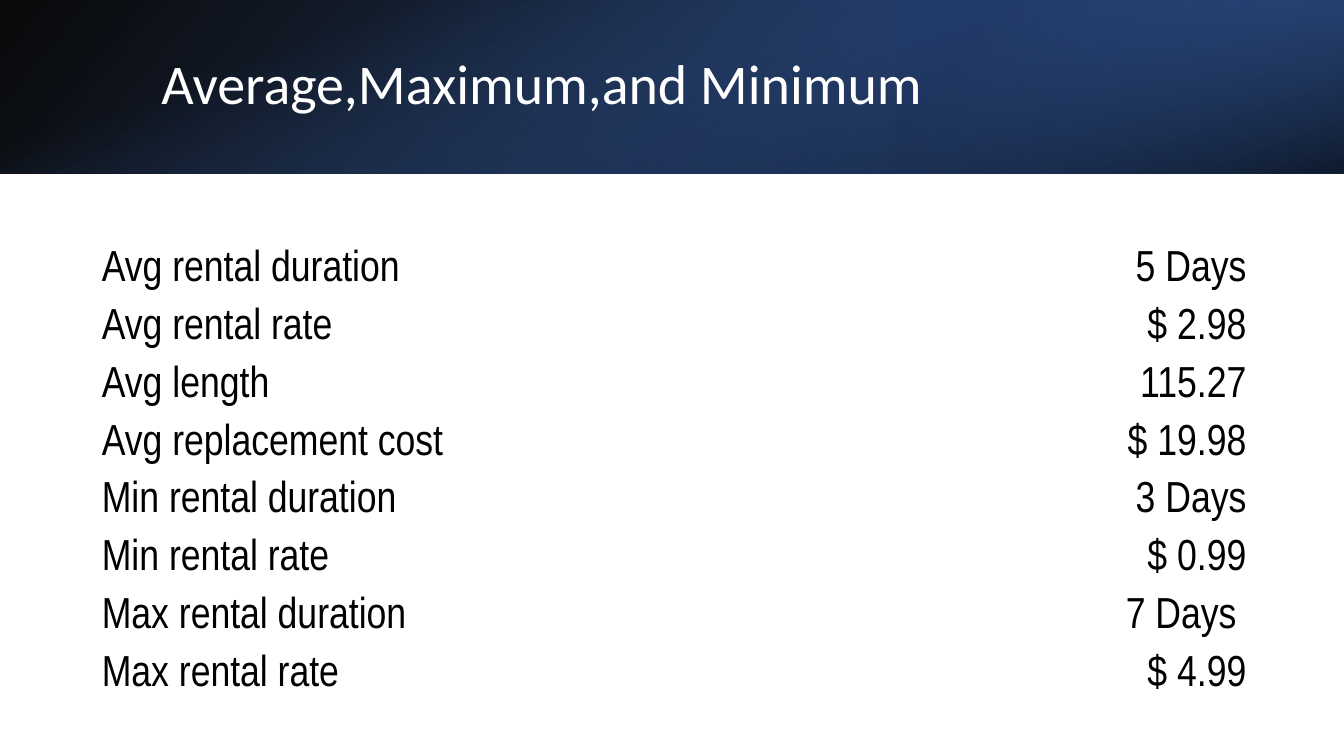
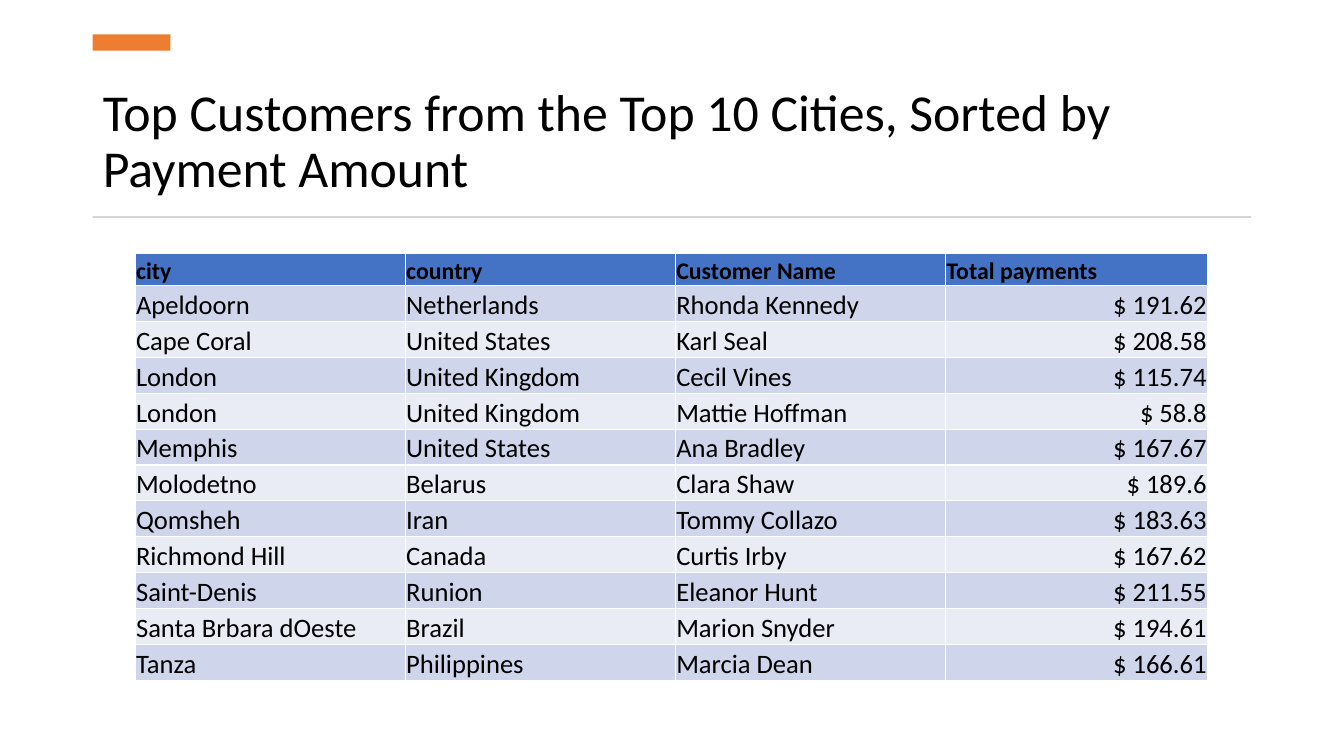
"""Build two slides of film rental statistics and top customers."""
import pptx
import pptx.dml.color
import pptx.enum.shapes
import pptx.enum.text
import pptx.oxml.ns
import pptx.util
from lxml import etree

RGBColor = pptx.dml.color.RGBColor
Align = pptx.enum.text.PP_ALIGN
Anchor = pptx.enum.text.MSO_ANCHOR

BLACK = RGBColor(0x00, 0x00, 0x00)
WHITE = RGBColor(0xFF, 0xFF, 0xFF)
NAVY = RGBColor(0x20, 0x38, 0x64)
DEEP_BLUE = RGBColor(0x2F, 0x55, 0x97)
BLUE = RGBColor(0x44, 0x72, 0xC4)
ORANGE = RGBColor(0xED, 0x7D, 0x31)
GRAY = RGBColor(0xD5, 0xD5, 0xD5)
ROW_FILLS = [RGBColor(0xCF, 0xD5, 0xEA), RGBColor(0xE9, 0xEB, 0xF5)]

deck = pptx.Presentation()
deck.slide_width = pptx.util.Inches(13.33)
deck.slide_height = pptx.util.Inches(7.5)
COLUMN = deck.slide_width / 100
ROW = deck.slide_height / 100


def write_text(frame, text, size=18, font="Calibri", color=BLACK, bold=False,
               align=Align.LEFT, spacing=1.0):
    paragraph = frame.paragraphs[0]
    paragraph.alignment = align
    paragraph.line_spacing = spacing
    run = paragraph.add_run()
    run.text = text
    run.font.size = pptx.util.Pt(size)
    run.font.name = font
    run.font.bold = bold
    run.font.color.rgb = color


def add_block(slide, left, top, width, height, color=None):
    block = slide.shapes.add_shape(
        pptx.enum.shapes.MSO_SHAPE.RECTANGLE,
        int(left), int(top), int(width), int(height))
    block.shadow.inherit = False
    block.line.fill.background()
    if color is not None:
        block.fill.solid()
        block.fill.fore_color.rgb = color
    return block


statistics = [
    ("Avg rental duration", "5 Days"),
    ("Avg rental rate", "$ 2.98"),
    ("Avg length", "115.27"),
    ("Avg replacement cost", "$ 19.98"),
    ("Min rental duration", "3 Days"),
    ("Min rental rate", "$ 0.99"),
    ("Max rental duration", "7 Days "),
    ("Max rental rate", "$ 4.99"),
]
customers = [
    ("city", "country", "Customer Name", "Total payments"),
    ("Apeldoorn", "Netherlands", "Rhonda Kennedy", "$ 191.62"),
    ("Cape Coral", "United States", "Karl Seal", "$ 208.58"),
    ("London", "United Kingdom", "Cecil Vines", "$ 115.74"),
    ("London", "United Kingdom", "Mattie Hoffman", "$ 58.8"),
    ("Memphis", "United States", "Ana Bradley", "$ 167.67"),
    ("Molodetno", "Belarus", "Clara Shaw", "$ 189.6"),
    ("Qomsheh", "Iran", "Tommy Collazo", "$ 183.63"),
    ("Richmond Hill", "Canada", "Curtis Irby", "$ 167.62"),
    ("Saint-Denis", "Runion", "Eleanor Hunt", "$ 211.55"),
    ("Santa Brbara dOeste", "Brazil", "Marion Snyder", "$ 194.61"),
    ("Tanza", "Philippines", "Marcia Dean", "$ 166.61"),
]
pages = [
    dict(title="Average,Maximum,and Minimum",
         title_box=(11.25, 5.07, 82.37, 12.8), title_anchor=Anchor.MIDDLE,
         title_format=dict(size=40, color=WHITE),
         rows=statistics, corner=(7.43, 30.8), widths=[58.44, 27.01],
         heights=[7.65] * 8, inset=0.02, has_header=False,
         body_format=dict(size=31, font="Arial Narrow")),
    dict(title="Top Customers from the Top 10 Cities, Sorted by Payment Amount",
         title_box=(6.9, 10, 86.2, 16.93), title_anchor=Anchor.BOTTOM,
         title_format=dict(size=37),
         rows=customers, corner=(10.05, 33.47), widths=[20.1] * 3 + [19.5],
         heights=[4.31] + [4.75] * 11, inset=0.01, has_header=True,
         body_format=dict(size=19)),
]

for page in pages:
    slide = deck.slides.add_slide(deck.slide_layouts[5])
    title = slide.shapes.title
    left, top, width, height = page["title_box"]
    title.left, title.width = int(left * COLUMN), int(width * COLUMN)
    title.top, title.height = int(top * ROW), int(height * ROW)
    title.text_frame.word_wrap = True
    title.text_frame.auto_size = pptx.enum.text.MSO_AUTO_SIZE.NONE
    title.text_frame.vertical_anchor = page["title_anchor"]
    write_text(title.text_frame, page["title"], spacing=0.9, **page["title_format"])

    rows, widths, heights = page["rows"], page["widths"], page["heights"]
    left, top = page["corner"]
    grid = slide.shapes.add_table(
        len(rows), len(widths), int(left * COLUMN), int(top * ROW),
        int(sum(widths) * COLUMN), int(sum(heights) * ROW)).table
    grid.first_row = page["has_header"]
    grid.horz_banding = page["has_header"]
    for column, width in zip(grid.columns, widths):
        column.width = int(width * COLUMN)
    for r, (values, height) in enumerate(zip(rows, heights)):
        grid.rows[r].height = int(height * ROW)
        is_header = page["has_header"] and r == 0
        for c, value in enumerate(values):
            cell = grid.cell(r, c)
            inset = pptx.util.Inches(page["inset"])
            cell.margin_left = cell.margin_right = cell.margin_top = inset
            cell.margin_bottom = 0
            cell.vertical_anchor = Anchor.BOTTOM
            if page["has_header"]:
                cell.fill.solid()
                cell.fill.fore_color.rgb = BLUE if is_header else ROW_FILLS[(r - 1) % 2]
            else:
                cell.fill.background()
            if is_header:
                write_text(cell.text_frame, value, size=17, bold=True)
            else:
                is_amount = c == len(values) - 1
                write_text(cell.text_frame, value,
                           align=Align.RIGHT if is_amount else Align.LEFT,
                           **page["body_format"])

statistics_slide, customers_slide = deck.slides

full = deck.slide_width
band = 22.93 * ROW
gradients = [
    ((0, 0, full, band), 0, True, 140, [(0, BLACK, 96), (100, DEEP_BLUE, 100)]),
    ((full * 2 / 3, 0, full / 3, band), 180, True, 320, [(19, NAVY, 68), (100, BLUE, 79)]),
    (((full - band) / 2, (band - full) / 2, band, full), 90, False, 340,
     [(23, BLUE, 0), (99, BLACK, 74)]),
]
for box, rotation, flipped, angle, stops in gradients:
    layer = add_block(statistics_slide, *box)
    layer.rotation = rotation
    if flipped:
        layer._element.spPr.find(pptx.oxml.ns.qn("a:xfrm")).set("flipH", "1")
    layer.fill.gradient()
    layer.fill.gradient_angle = 360 - angle
    for stop, (position, color, _) in zip(layer.fill.gradient_stops, stops):
        stop.position = position / 100
        stop.color.rgb = color
    tints = layer._element.spPr.iter(pptx.oxml.ns.qn("a:srgbClr"))
    for tint, (_, _, opacity) in zip(list(tints), stops):
        alpha = etree.SubElement(tint, pptx.oxml.ns.qn("a:alpha"))
        alpha.set("val", str(opacity * 1000))
heading = statistics_slide.shapes.title._element
heading.getparent().append(heading)

for top, width, height, color in [(4.55, 5.78, 2.15, ORANGE), (28.6, 86.2, 0.25, GRAY)]:
    add_block(customers_slide, 6.9 * COLUMN, top * ROW, width * COLUMN, height * ROW, color)

deck.save("out.pptx")
